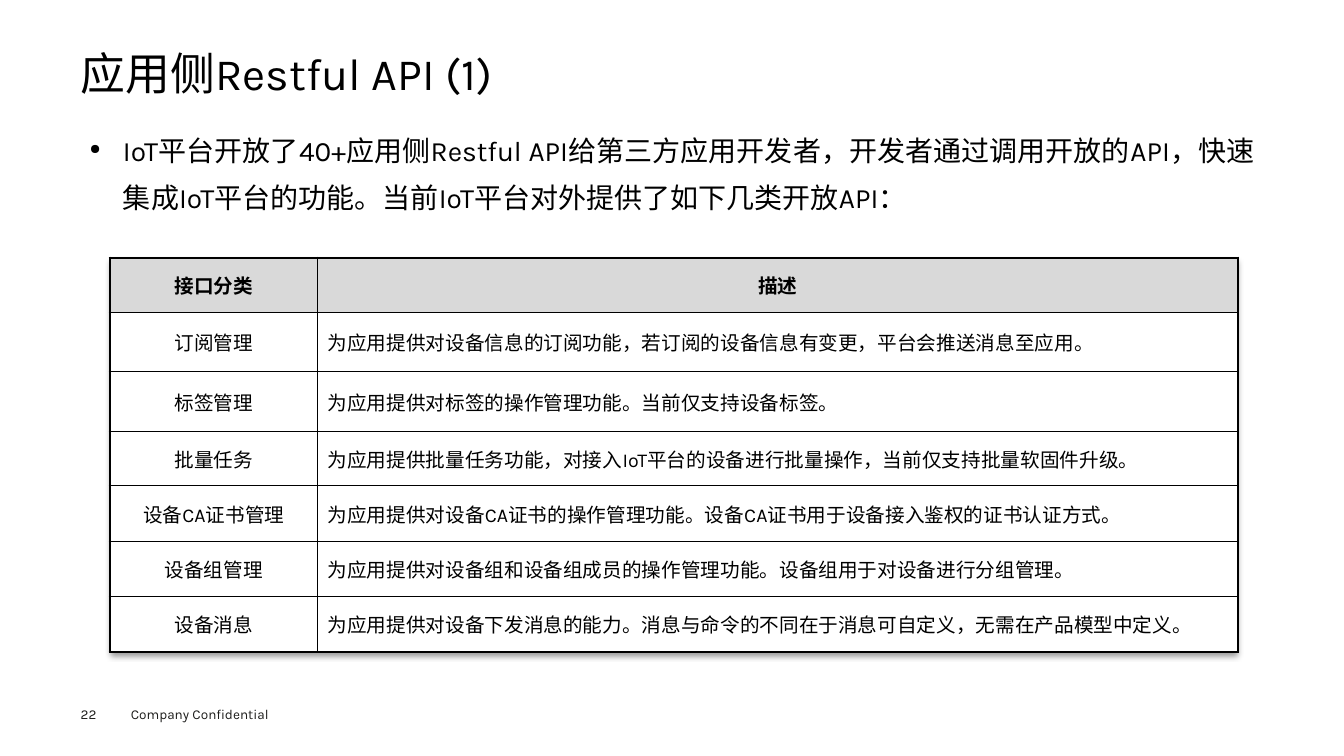
from lxml import etree
from pptx import Presentation
from pptx import util as u
from pptx.dml.color import RGBColor
from pptx.enum import shapes, text
from pptx.oxml import parse_xml
from pptx.oxml.ns import nsdecls, qn

TITLE = "应用侧Restful API (1)"
INTRO = ("IoT平台开放了40+应用侧Restful API给第三方应用开发者，开发者通过调用开放的API，"
         "快速集成IoT平台的功能。当前IoT平台对外提供了如下几类开放API：")
ROWS = [
    ("接口分类", "描述"),
    ("订阅管理", "为应用提供对设备信息的订阅功能，若订阅的设备信息有变更，平台会推送消息至应用。"),
    ("标签管理", "为应用提供对标签的操作管理功能。当前仅支持设备标签。"),
    ("批量任务", "为应用提供批量任务功能，对接入IoT平台的设备进行批量操作，当前仅支持批量软固件升级。"),
    ("设备CA证书管理", "为应用提供对设备CA证书的操作管理功能。设备CA证书用于设备接入鉴权的证书认证方式。"),
    ("设备组管理", "为应用提供对设备组和设备组成员的操作管理功能。设备组用于对设备进行分组管理。"),
    ("设备消息", "为应用提供对设备下发消息的能力。消息与命令的不同在于消息可自定义，无需在产品模型中定义。"),
]
COLUMN_WIDTHS = [2.06, 9.13]
ROW_HEIGHTS = [0.54, 0.59, 0.59, 0.54, 0.55, 0.55, 0.55]
PAGE_NUMBER = "22"
FOOTER = "Company Confidential"

THEME = {
    "font": "Karla", "text": "000000", "footer": "1D1D1B", "panel": "FFFFFF",
    "header": "D9D9D9", "border": "000000", "thin": 1, "thick": 2.25,
    "title_size": 32, "body_size": 20, "table_size": 14, "footer_size": 9.7,
}


def write(frame, words, size, color="text", bold=False):
    frame.text = words
    paragraph = frame.paragraphs[0]
    for run in paragraph.runs:
        run.font.name = THEME["font"]
        run.font.size = u.Pt(size)
        run.font.bold = bold
        run.font.color.rgb = RGBColor.from_string(THEME[color])
    return paragraph


def add_text(slide, box, words, size, color="text", insets=(0, 0), anchor=text.MSO_ANCHOR.TOP):
    frame = slide.shapes.add_textbox(*map(u.Inches, box)).text_frame
    frame.word_wrap = True
    frame.vertical_anchor = anchor
    frame.margin_left = frame.margin_right = u.Inches(insets[0])
    frame.margin_top = frame.margin_bottom = u.Inches(insets[1])
    return write(frame, words, size, color)


def add_bullet(paragraph, indent):
    properties = paragraph._p.get_or_add_pPr()
    properties.set("marL", str(u.Inches(indent)))
    properties.set("indent", str(u.Inches(-indent)))
    etree.SubElement(properties, qn("a:buSzPct")).set("val", "50000")
    etree.SubElement(properties, qn("a:buChar")).set("char", "●")


def add_panel(slide, box):
    panel = slide.shapes.add_shape(shapes.MSO_SHAPE.RECTANGLE, *map(u.Inches, box))
    panel.fill.solid()
    panel.fill.fore_color.rgb = RGBColor.from_string(THEME["panel"])
    panel.line.fill.background()
    panel.shadow.inherit = False
    effects = panel._element.spPr.find(qn("a:effectLst"))
    effects.append(parse_xml(
        f'<a:outerShdw {nsdecls("a")} blurRad="{u.Pt(4)}" dist="{u.Pt(3)}" dir="5400000" '
        'algn="t" rotWithShape="0"><a:srgbClr val="000000"><a:alpha val="40000"/>'
        '</a:srgbClr></a:outerShdw>'))


def set_borders(cell, thick_sides):
    properties = cell._tc.get_or_add_tcPr()
    for position, side in enumerate("LRTB"):
        width = u.Pt(THEME["thick" if side in thick_sides else "thin"])
        properties.insert(position, parse_xml(
            f'<a:ln{side} {nsdecls("a")} w="{width}"><a:solidFill>'
            f'<a:srgbClr val="{THEME["border"]}"/></a:solidFill></a:ln{side}>'))


def add_interface_table(slide, box):
    table = slide.shapes.add_table(len(ROWS), len(COLUMN_WIDTHS), *map(u.Inches, box)).table
    table.first_row = table.horz_banding = False
    for column, width in zip(table.columns, COLUMN_WIDTHS):
        column.width = u.Inches(width)
    for row_index, (row, height) in enumerate(zip(ROWS, ROW_HEIGHTS)):
        table.rows[row_index].height = u.Inches(height)
        is_header = row_index == 0
        for column_index, words in enumerate(row):
            cell = table.cell(row_index, column_index)
            cell.vertical_anchor = text.MSO_ANCHOR.MIDDLE
            paragraph = write(cell.text_frame, words, THEME["table_size"], bold=is_header)
            centred = is_header or column_index == 0
            paragraph.alignment = text.PP_ALIGN.CENTER if centred else text.PP_ALIGN.LEFT
            if is_header:
                cell.fill.solid()
                cell.fill.fore_color.rgb = RGBColor.from_string(THEME["header"])
            else:
                cell.fill.background()
            set_borders(cell, "LR"[column_index] + ("T" if is_header else ""))


def main():
    presentation = Presentation()
    presentation.slide_width = u.Inches(13.33)
    presentation.slide_height = u.Inches(7.5)
    slide = presentation.slides.add_slide(presentation.slide_layouts[6])

    add_text(slide, (1.2, 6.95, 1.6, 0.27), FOOTER, THEME["footer_size"], "footer", (0.1, 0.05))
    add_text(slide, (0.8, 7, 0.55, 0.16), PAGE_NUMBER, THEME["footer_size"], "footer")
    add_panel(slide, (1.1, 2.56, 11.18, 3.91))

    title = add_text(slide, (0.8, 0.49, 11.73, 0.53), TITLE, THEME["title_size"],
                     anchor=text.MSO_ANCHOR.MIDDLE)
    title.line_spacing = 0.9

    intro = add_text(slide, (0.8, 1.15, 11.73, 5.34), INTRO, THEME["body_size"],
                     insets=(0.09, 0.04))
    intro.alignment = text.PP_ALIGN.JUSTIFY
    intro.line_spacing = 1.4
    intro.space_before = u.Pt(7.9)
    add_bullet(intro, 0.33)

    add_interface_table(slide, (1.09, 2.56, sum(COLUMN_WIDTHS), sum(ROW_HEIGHTS)))
    presentation.save("out.pptx")


if __name__ == "__main__":
    main()
